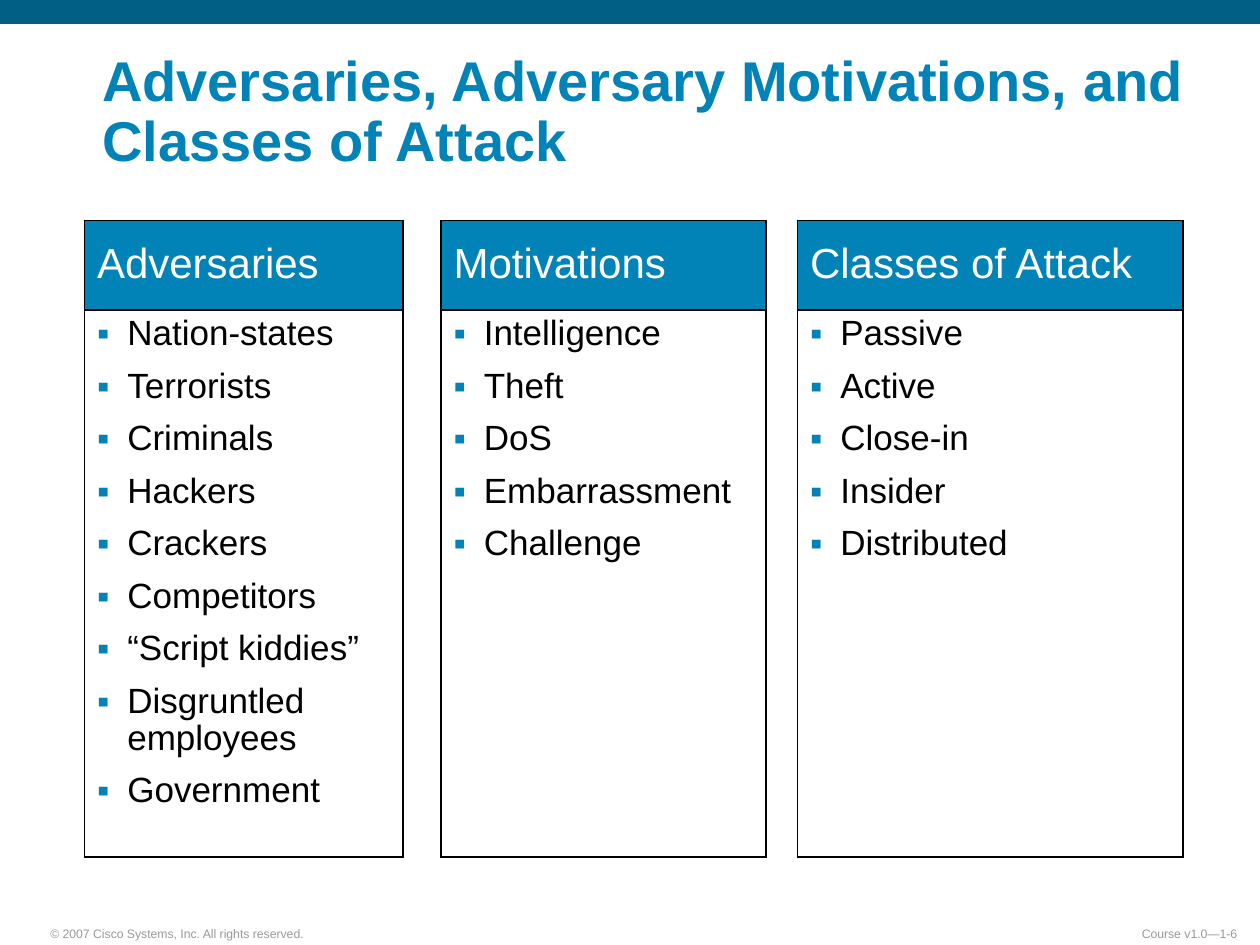
from dataclasses import dataclass

from lxml import etree
from pptx import Presentation
from pptx.dml.color import RGBColor
from pptx.enum.shapes import MSO_SHAPE
from pptx.enum.text import MSO_ANCHOR, MSO_AUTO_SIZE, PP_ALIGN
from pptx.oxml.ns import qn
from pptx.util import Inches, Pt

RECTANGLE = MSO_SHAPE.RECTANGLE
TOP, MIDDLE, BOTTOM = MSO_ANCHOR.TOP, MSO_ANCHOR.MIDDLE, MSO_ANCHOR.BOTTOM
LEFT, RIGHT = PP_ALIGN.LEFT, PP_ALIGN.RIGHT
NO_FIT, GROW = MSO_AUTO_SIZE.NONE, MSO_AUTO_SIZE.SHAPE_TO_FIT_TEXT
TITLE_ONLY = 5


@dataclass(frozen=True)
class Theme:
    """Colours, type sizes and line width of the slide."""
    font: str = "Arial"
    accent: str = "0183B7"
    band: str = "015F85"
    ink: str = "000000"
    paper: str = "FFFFFF"
    muted: str = "999999"
    title_size: float = 32
    header_size: float = 24
    item_size: float = 20
    footer_size: float = 7
    border: float = 1.08


THEME = Theme()

COLUMNS = {
    "Adversaries": [
        "Nation-states", "Terrorists", "Criminals", "Hackers", "Crackers",
        "Competitors", "“Script kiddies”", "Disgruntled employees", "Government",
    ],
    "Motivations": ["Intelligence", "Theft", "DoS", "Embarrassment", "Challenge"],
    "Classes of Attack": ["Passive", "Active", "Close-in", "Insider", "Distributed"],
}
COLUMN_WIDTHS = (2.53, 0.3, 2.58, 0.25, 3.06)
ROW_HEIGHTS = (0.71, 4.34)


def add_bullet(paragraph):
    """Give a paragraph a hanging accent-coloured square bullet."""
    properties = paragraph._p.get_or_add_pPr()
    properties.set("marL", str(Inches(0.24)))
    properties.set("indent", str(-Inches(0.24)))
    colour = etree.SubElement(properties, qn("a:buClr"))
    etree.SubElement(colour, qn("a:srgbClr"), val=THEME.accent)
    etree.SubElement(properties, qn("a:buFont"), typeface=THEME.font)
    etree.SubElement(properties, qn("a:buChar"), char="▪")


def write(frame, lines, *, size, colour, bold=False, align=LEFT,
          spacing=1.0, before=0, bullets=False):
    """Write one paragraph per line into a text frame."""
    for index, line in enumerate(lines):
        paragraph = frame.add_paragraph() if index else frame.paragraphs[0]
        if bullets:
            add_bullet(paragraph)
        paragraph.alignment = align
        paragraph.line_spacing = spacing
        paragraph.space_before = Pt(before if index else 0)
        run = paragraph.add_run()
        run.text = line
        run.font.name = THEME.font
        run.font.size = Pt(size)
        run.font.bold = bold
        run.font.color.rgb = RGBColor.from_string(colour)


def set_insets(frame, horizontal, vertical):
    """Set matching side insets and matching top and bottom insets."""
    frame.margin_left = frame.margin_right = Inches(horizontal)
    frame.margin_top = frame.margin_bottom = Inches(vertical)


def set_borders(cell, drawn_sides):
    """Draw the given sides of a cell and hide the others."""
    properties = cell._tc.get_or_add_tcPr()
    for side in "LRTB":
        line = etree.SubElement(properties, qn(f"a:ln{side}"), w=str(Pt(THEME.border)))
        if side in drawn_sides:
            fill = etree.SubElement(line, qn("a:solidFill"))
            etree.SubElement(fill, qn("a:srgbClr"), val=THEME.ink)
        else:
            etree.SubElement(line, qn("a:noFill"))


def add_band(slide, left, top, width, height):
    """Add the coloured band along the top edge."""
    band = slide.shapes.add_shape(RECTANGLE, left, top, width, height)
    band.shadow.inherit = False
    band.fill.solid()
    band.fill.fore_color.rgb = RGBColor.from_string(THEME.band)
    band.line.fill.background()


def add_title(slide, text, left, top, width, height):
    """Place and format the title placeholder."""
    title = slide.shapes.title
    title.left, title.top, title.width, title.height = left, top, width, height
    frame = title.text_frame
    frame.auto_size = NO_FIT
    frame.word_wrap = True
    frame.vertical_anchor = BOTTOM
    set_insets(frame, 0.09, 0.04)
    write(frame, [text], size=THEME.title_size, colour=THEME.accent, bold=True, spacing=0.9)


def add_footer(slide, text, left, top, width, height, align=LEFT):
    """Add one small line at the foot of the slide."""
    frame = slide.shapes.add_textbox(left, top, width, height).text_frame
    frame.word_wrap = False
    frame.auto_size = GROW
    frame.vertical_anchor = BOTTOM
    set_insets(frame, 0.09, 0.04)
    write(frame, [text], size=THEME.footer_size, colour=THEME.muted, align=align)


def fill_cell(cell, lines, fill, anchor, **text_format):
    """Border, colour and fill a content cell with text."""
    set_borders(cell, "LRTB")
    cell.fill.solid()
    cell.fill.fore_color.rgb = RGBColor.from_string(fill)
    cell.vertical_anchor = anchor
    set_insets(cell, 0.1, 0.05)
    write(cell.text_frame, lines, spacing=0.95, **text_format)


def add_threat_table(slide, left, top, width, height):
    """Add the three lists as table columns separated by open gaps."""
    table = slide.shapes.add_table(
        len(ROW_HEIGHTS), len(COLUMN_WIDTHS), left, top, width, height).table
    table.first_row = table.horz_banding = False
    for column, share in zip(table.columns, COLUMN_WIDTHS):
        column.width = int(width * share / sum(COLUMN_WIDTHS))
    for row, share in zip(table.rows, ROW_HEIGHTS):
        row.height = int(height * share / sum(ROW_HEIGHTS))
    for index, (heading, items) in enumerate(COLUMNS.items()):
        fill_cell(table.cell(0, 2 * index), [heading], THEME.accent, MIDDLE,
                  size=THEME.header_size, colour=THEME.paper)
        fill_cell(table.cell(1, 2 * index), items, THEME.paper, TOP,
                  size=THEME.item_size, colour=THEME.ink, before=8.8, bullets=True)
    for row in range(len(ROW_HEIGHTS)):
        for gap in range(1, len(COLUMN_WIDTHS), 2):
            cell = table.cell(row, gap)
            set_borders(cell, "LR")
            cell.fill.background()


def main():
    """Build the slide and save it."""
    deck = Presentation()
    deck.slide_width, deck.slide_height = Inches(10), Inches(7.5)
    slide = deck.slides.add_slide(deck.slide_layouts[TITLE_ONLY])
    slide.background.fill.solid()
    slide.background.fill.fore_color.rgb = RGBColor.from_string(THEME.paper)
    add_band(slide, 0, 0, deck.slide_width, Inches(0.19))
    add_footer(slide, "© 2007 Cisco Systems, Inc. All rights reserved.",
               Inches(0.31), Inches(7.3), Inches(2.2), Inches(0.21))
    add_footer(slide, "Course v1.0—1-6",
               Inches(8.61), Inches(7.3), Inches(1.3), Inches(0.21), align=RIGHT)
    add_title(slide, "Adversaries, Adversary Motivations, and Classes of Attack",
              Inches(0.72), Inches(0.5), Inches(8.91), Inches(0.92))
    add_threat_table(slide, Inches(0.67), Inches(1.75), Inches(8.72), Inches(5.05))
    deck.save("out.pptx")


if __name__ == "__main__":
    main()
